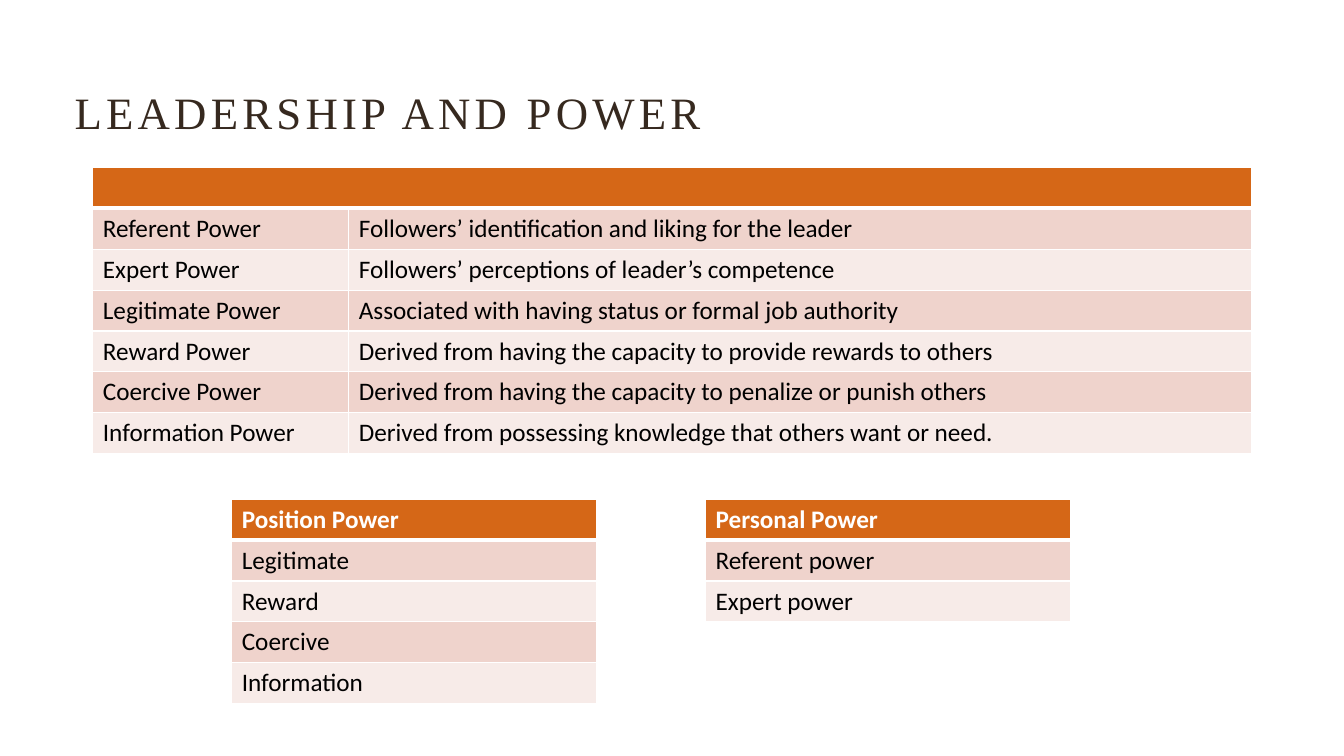
from lxml.etree import SubElement
from pptx import Presentation
from pptx.dml.color import RGBColor
from pptx.enum.text import MSO_ANCHOR
from pptx.oxml.ns import qn
from pptx.util import Cm, Pt

ORANGE = RGBColor(0xD5, 0x67, 0x17)
ROSE = RGBColor(0xEF, 0xD3, 0xCC)
PALE_ROSE = RGBColor(0xF7, 0xEB, 0xE8)
BROWN = RGBColor(0x36, 0x29, 0x1F)
BLACK = RGBColor(0, 0, 0)
WHITE = RGBColor(0xFF, 0xFF, 0xFF)

ROW_HEIGHT = Cm(1.03)
SMALL_TABLE_TOP = Cm(12.58)
SMALL_TABLE_WIDTH = Cm(9.2)

POWER_ROWS = [
    ("", ""),
    ("Referent Power", "Followers’ identification and liking for the leader"),
    ("Expert Power", "Followers’ perceptions of leader’s competence"),
    ("Legitimate Power", "Associated with having status or formal job authority"),
    ("Reward Power", "Derived from having the capacity to provide rewards to others"),
    ("Coercive Power", "Derived from having the capacity to penalize or punish others"),
    ("Information Power", "Derived from possessing knowledge that others want or need."),
]
POSITION_ROWS = [("Position Power",), ("Legitimate",), ("Reward",), ("Coercive",), ("Information",)]
PERSONAL_ROWS = [("Personal Power",), ("Referent power",), ("Expert power",)]


def add_run(paragraph, text, font_name, size, color, bold=False):
    """Append a formatted run to the paragraph and return it."""
    run = paragraph.add_run()
    run.text = text
    run.font.name = font_name
    run.font.size = Pt(size)
    run.font.bold = bold
    run.font.color.rgb = color
    return run


def add_title(slide, text):
    """Add the letter-spaced slide title."""
    shape = slide.shapes.add_textbox(Cm(1.63), Cm(1.24), Cm(26.37), Cm(2.39))
    frame = shape.text_frame
    frame.word_wrap = True
    frame.vertical_anchor = MSO_ANCHOR.BOTTOM
    paragraph = frame.paragraphs[0]
    paragraph.line_spacing = 0.9
    run = add_run(paragraph, text, "Times New Roman", 32, BROWN)
    run._r.get_or_add_rPr().set("spc", "300")


def set_borders(cell, top, bottom):
    """Give the cell white borders, with top and bottom widths in points."""
    properties = cell._tc.get_or_add_tcPr()
    for tag, width in (("a:lnL", 1), ("a:lnR", 1), ("a:lnT", top), ("a:lnB", bottom)):
        line = SubElement(properties, qn(tag), w=str(Pt(width)))
        fill = SubElement(line, qn("a:solidFill"))
        SubElement(fill, qn("a:srgbClr"), val=str(WHITE))


def fill_cell(cell, text, row_index):
    """Style a cell by its row and write its text."""
    is_header = row_index == 0
    set_borders(cell, 3 if row_index == 1 else 1, 3 if is_header else 1)
    cell.fill.solid()
    cell.fill.fore_color.rgb = ORANGE if is_header else (PALE_ROSE, ROSE)[row_index % 2]
    if text:
        color = WHITE if is_header else BLACK
        add_run(cell.text_frame.paragraphs[0], text, "Calibri", 18, color, is_header)


def add_power_table(slide, left, top, column_widths, rows):
    """Add a table with a header row and alternating body rows."""
    frame = slide.shapes.add_table(
        len(rows), len(column_widths), left, top, sum(column_widths), ROW_HEIGHT * len(rows)
    )
    table = frame.table
    for column, width in zip(table.columns, column_widths):
        column.width = width
    for row_index, texts in enumerate(rows):
        table.rows[row_index].height = ROW_HEIGHT
        for column_index, text in enumerate(texts):
            fill_cell(table.cell(row_index, column_index), text, row_index)
    return table


def main():
    """Build the leadership and power slide."""
    presentation = Presentation()
    presentation.slide_width = Cm(33.87)
    presentation.slide_height = Cm(19.05)
    slide = presentation.slides.add_slide(presentation.slide_layouts[6])
    add_title(slide, "LEADERSHIP AND POWER")
    table = add_power_table(slide, Cm(2.34), Cm(4.22), [Cm(6.45), Cm(22.76)], POWER_ROWS)
    table.cell(0, 0).merge(table.cell(0, 1))
    for left, rows in ((Cm(5.84), POSITION_ROWS), (Cm(17.78), PERSONAL_ROWS)):
        add_power_table(slide, left, SMALL_TABLE_TOP, [SMALL_TABLE_WIDTH], rows)
    presentation.save("out.pptx")


if __name__ == "__main__":
    main()
